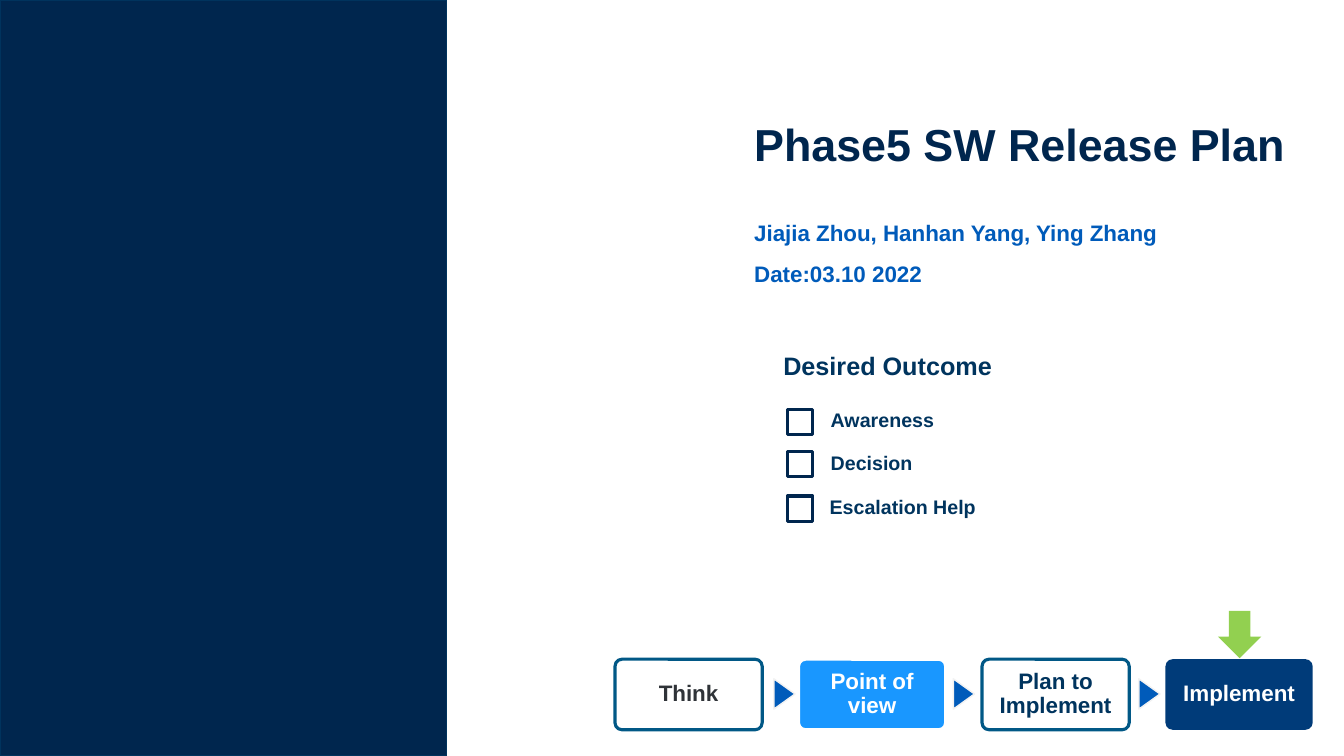
from dataclasses import dataclass

from pptx import Presentation
from pptx import util as u
from pptx.dml.color import RGBColor
from pptx.enum import shapes, text

# Content
TITLE = "Phase5 SW Release Plan"
BYLINE = ["Jiajia Zhou, Hanhan Yang, Ying Zhang", "Date:03.10 2022"]
OUTCOME_HEADING = "Desired Outcome"
# label, label left, label top, checkbox top
OUTCOMES = [
    ("Awareness", 8.14, 3.84, 4.06),
    ("Decision", 8.14, 4.27, 4.48),
    ("Escalation Help", 8.13, 4.71, 4.92),
]
# label, fill, outline, text colour
STAGES = [
    ("Think", None, "teal", "charcoal"),
    ("Point of view", "sky", "white", "white"),
    ("Plan to Implement", None, "teal", "ink"),
    ("Implement", "royal", None, "white"),
]
STAGE_ARROW_LEFTS = [7.63, 9.41, 11.25]


@dataclass(frozen=True)
class Theme:
    font: str = "Arial"
    navy: str = "00264E"
    edge: str = "00335D"
    ink: str = "00345E"
    blue: str = "005BBA"
    teal: str = "015886"
    sky: str = "1997FF"
    royal: str = "003B79"
    charcoal: str = "2F3338"
    green: str = "92D050"
    pale: str = "F2F2F2"
    white: str = "FFFFFF"
    title_size: int = 32
    heading_size: int = 18
    body_size: int = 16
    label_size: int = 14


theme = Theme()


def color(name):
    return RGBColor.from_string(getattr(theme, name))


def place(shape, left, top, width, height):
    shape.left, shape.top = u.Inches(left), u.Inches(top)
    shape.width, shape.height = u.Inches(width), u.Inches(height)


def write(shape, lines, *, size, ink, align=text.PP_ALIGN.LEFT,
          line_spacing=1.0, gap=0, inset=0.1):
    frame = shape.text_frame
    frame.text = "\n".join(lines)
    frame.word_wrap = True
    frame.auto_size = text.MSO_AUTO_SIZE.NONE
    frame.vertical_anchor = text.MSO_ANCHOR.MIDDLE
    frame.margin_left = frame.margin_right = u.Inches(inset)
    for index, paragraph in enumerate(frame.paragraphs):
        paragraph.alignment = align
        paragraph.line_spacing = line_spacing
        paragraph.space_before = u.Pt(gap if index else 0)
        font = paragraph.font
        font.name, font.size, font.bold = theme.font, u.Pt(size), True
        font.color.rgb = color(ink)


def add_label(slide, line, box, **format):
    write(slide.shapes.add_textbox(*map(u.Inches, box)), [line], **format)


def add_block(slide, kind, box, fill=None, outline=None, weight=1):
    shape = slide.shapes.add_shape(kind, *map(u.Inches, box))
    shape.shadow.inherit = False
    if fill:
        shape.fill.solid()
        shape.fill.fore_color.rgb = color(fill)
    else:
        shape.fill.background()
    if outline:
        shape.line.color.rgb = color(outline)
        shape.line.width = u.Pt(weight)
    else:
        shape.line.fill.background()
    return shape


def main():
    presentation = Presentation()
    presentation.slide_width = u.Inches(13.33)
    presentation.slide_height = u.Inches(7.5)
    slide = presentation.slides.add_slide(presentation.slide_layouts[0])
    kinds = shapes.MSO_SHAPE

    # Side panel
    add_block(slide, kinds.RECTANGLE, (0, 0, 4.43, 7.5), "navy", "edge")

    # Title and byline
    title, byline = slide.placeholders
    place(title, 7.38, 0.83, 5.95, 1.18)
    write(title, [TITLE], size=theme.title_size, ink="navy")
    place(byline, 7.38, 1.99, 4.96, 1.04)
    write(byline, BYLINE, size=theme.body_size, ink="blue", gap=10.4)

    # Desired outcome checklist
    add_label(slide, OUTCOME_HEADING, (7.67, 3.31, 3.42, 0.64),
              size=theme.heading_size, ink="ink")
    for label, left, label_top, box_top in OUTCOMES:
        add_block(slide, kinds.RECTANGLE, (7.81, box_top, 0.25, 0.25),
                  outline="navy", weight=2.25)
        add_label(slide, label, (left, label_top, 2.42, 0.64),
                  size=theme.label_size, ink="ink")

    # Stage cards at an equal pitch
    first_left, top, width, height, pitch = 6.1, 6.54, 1.46, 0.7, 1.82
    for index, (label, fill, outline, ink) in enumerate(STAGES):
        box = (first_left + index * pitch, top, width, height)
        card = add_block(slide, kinds.ROUNDED_RECTANGLE, box, fill, outline, 2.25)
        card.adjustments[0] = 0.1
        write(card, [label], size=theme.body_size, ink=ink,
              align=text.PP_ALIGN.CENTER, line_spacing=0.9, inset=0.09)

    # Arrows between stages and the current-stage marker
    for left in STAGE_ARROW_LEFTS:
        arrow = add_block(slide, kinds.ISOSCELES_TRIANGLE,
                          (left, 6.78, 0.3, 0.21), "blue", "pale")
        arrow.rotation = 90
    add_block(slide, kinds.DOWN_ARROW, (12.08, 6.06, 0.43, 0.47), "green")

    presentation.save("out.pptx")


if __name__ == "__main__":
    main()
